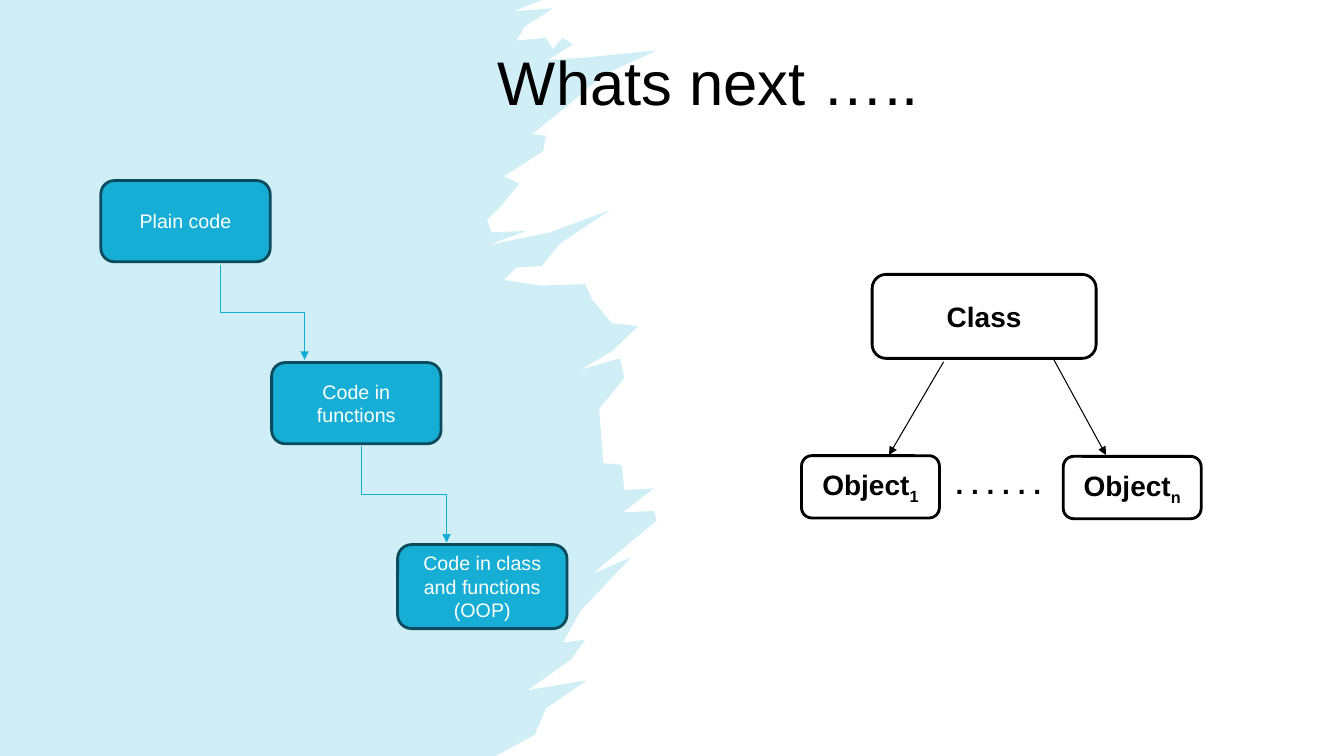
from dataclasses import dataclass

from lxml import etree
from pptx import Presentation
from pptx.dml.color import RGBColor
from pptx.enum import shapes, text
from pptx.oxml.ns import qn
from pptx.util import Pt


# Theme: colours and type sizes
@dataclass(frozen=True)
class Theme:
    font: str = "Arial"
    cyan: str = "17AED5"
    arrow: str = "12ADD5"
    edge: str = "0A4C5D"
    white: str = "FFFFFF"
    black: str = "000000"
    title: float = 44
    step: float = 14
    label: float = 20
    border: float = 2
    thin: float = 0.75


THEME = Theme()


@dataclass(frozen=True)
class BoxStyle:
    fill: str
    line: str
    ink: str
    size: float
    bold: bool


@dataclass(frozen=True)
class Box:
    label: str
    left: float
    top: float
    width: float
    height: float
    style: BoxStyle
    sub: str = ""


@dataclass(frozen=True)
class Arrow:
    x1: float
    y1: float
    x2: float
    y2: float
    color: str
    bent: bool = False


STEP = BoxStyle(THEME.cyan, THEME.edge, THEME.white, THEME.step, False)
OOP = BoxStyle(THEME.white, THEME.black, THEME.black, THEME.label, True)

BOXES = [
    Box("Plain code", 72, 129, 121, 58, STEP),
    Box("Code in functions", 194, 259, 121, 58, STEP),
    Box("Code in class and functions (OOP)", 284, 389, 121, 60, STEP),
    Box("Class", 623, 196, 160, 60, OOP),
    Box("Object", 572.5, 325.5, 98.5, 44.5, OOP, "1"),
    Box("Object", 759.5, 326, 98.5, 44.5, OOP, "n"),
]

ARROWS = [
    Arrow(157.5, 189, 217.5, 257, THEME.arrow, bent=True),
    Arrow(258.5, 318.5, 319, 387.5, THEME.arrow, bent=True),
    Arrow(674, 258.5, 635, 325, THEME.black),
    Arrow(752, 255.5, 790, 325, THEME.black),
]

# Brush edge in points, from the top left round to the right
BRUSH = [
    (0, 0), (0, 540), (354, 540), (382, 525), (390, 506), (419, 486),
    (377, 493), (408, 471), (418, 457), (402, 459), (415, 436), (451, 398),
    (423, 410), (469, 372), (467, 365), (445, 366), (467, 349), (446, 350),
    (444, 332), (431, 331), (428, 292), (446, 270), (443, 256), (415, 264),
    (437, 251), (456, 233), (437, 231), (423, 214), (418, 203), (386, 204),
    (360, 200), (369, 191), (387, 190), (400, 174), (436, 150), (393, 166),
    (349, 175), (376, 165), (351, 166), (348, 157), (359, 146), (371, 131),
    (360, 126), (388, 108), (390, 97), (380, 96), (406, 75), (432, 53),
    (469, 36), (420, 41), (391, 43), (409, 32), (402, 27), (395, 35),
    (390, 27), (369, 29), (375, 19), (395, 6), (367, 8), (387, 0),
]


def rgb(value: str) -> RGBColor:
    return RGBColor.from_string(value)


def style_run(r, size: float, color: str, bold: bool = False) -> None:
    r.font.name = THEME.font
    r.font.size = Pt(size)
    r.font.bold = bold
    r.font.color.rgb = rgb(color)


def add_brush(slide) -> None:
    builder = slide.shapes.build_freeform(*BRUSH[0], scale=Pt(1))
    builder.add_line_segments(BRUSH[1:], close=True)
    sp = builder.convert_to_shape()
    sp.shadow.inherit = False
    sp.fill.solid()
    sp.fill.fore_color.rgb = rgb(THEME.cyan)
    sp.line.fill.background()
    color = sp._element.spPr.find(".//" + qn("a:srgbClr"))
    etree.SubElement(color, qn("a:alpha")).set("val", "20000")
    slide.shapes._spTree.insert(2, sp._element)  # behind the title


def add_title(slide, label: str) -> None:
    sp = slide.shapes.title
    sp.left, sp.top, sp.width, sp.height = Pt(348.5), Pt(27.5), Pt(325.5), Pt(60.5)
    tf = sp.text_frame
    tf.text = label
    tf.word_wrap = True
    tf.auto_size = text.MSO_AUTO_SIZE.NONE
    tf.vertical_anchor = text.MSO_ANCHOR.TOP
    p = tf.paragraphs[0]
    p.alignment = text.PP_ALIGN.LEFT
    style_run(p.runs[0], THEME.title, THEME.black)


def add_box(slide, box: Box) -> None:
    style = box.style
    sp = slide.shapes.add_shape(
        shapes.MSO_SHAPE.ROUNDED_RECTANGLE,
        Pt(box.left), Pt(box.top), Pt(box.width), Pt(box.height))
    sp.shadow.inherit = False
    sp.fill.solid()
    sp.fill.fore_color.rgb = rgb(style.fill)
    sp.line.color.rgb = rgb(style.line)
    sp.line.width = Pt(THEME.border)
    tf = sp.text_frame
    tf.text = box.label
    tf.word_wrap = True
    tf.vertical_anchor = text.MSO_ANCHOR.MIDDLE
    p = tf.paragraphs[0]
    p.alignment = text.PP_ALIGN.CENTER
    if box.sub:
        r = p.add_run()
        r.text = box.sub
        r.font._element.set("baseline", "-25000")
    for r in p.runs:
        style_run(r, style.size, style.ink, style.bold)


def add_arrow(slide, arrow: Arrow) -> None:
    x1, y1, x2, y2 = arrow.x1, arrow.y1, arrow.x2, arrow.y2
    kind = shapes.MSO_CONNECTOR.STRAIGHT
    if arrow.bent:
        # Lay the elbow on its side, so that it leaves downwards once turned
        kind = shapes.MSO_CONNECTOR.ELBOW
        cx, cy, w, h = (x1 + x2) / 2, (y1 + y2) / 2, y2 - y1, x2 - x1
        x1, y1, x2, y2 = cx - w / 2, cy - h / 2, cx + w / 2, cy + h / 2
    c = slide.shapes.add_connector(kind, Pt(x1), Pt(y1), Pt(x2), Pt(y2))
    c.line.color.rgb = rgb(arrow.color)
    c.line.width = Pt(THEME.thin)
    props = c._element.spPr
    if arrow.bent:
        xfrm = props.find(qn("a:xfrm"))
        xfrm.set("rot", str(270 * 60000))
        xfrm.set("flipH", "1")
    etree.SubElement(props.find(qn("a:ln")), qn("a:tailEnd")).set("type", "triangle")
    etree.SubElement(props, qn("a:effectLst"))


def add_dots(slide) -> None:
    sp = slide.shapes.add_textbox(Pt(675.5), Pt(330), Pt(85), Pt(31.5))
    tf = sp.text_frame
    tf.text = ". . . . . ."
    tf.word_wrap = True
    style_run(tf.paragraphs[0].runs[0], THEME.label, THEME.black, True)


def main() -> None:
    prs = Presentation()
    prs.slide_width, prs.slide_height = Pt(960), Pt(540)
    slide = prs.slides.add_slide(prs.slide_layouts[5])
    # Background and title
    add_brush(slide)
    add_title(slide, "Whats next …..")
    # Code steps and class diagram
    for box in BOXES:
        add_box(slide, box)
    add_dots(slide)
    for arrow in ARROWS:
        add_arrow(slide, arrow)
    prs.save("out.pptx")


if __name__ == "__main__":
    main()
